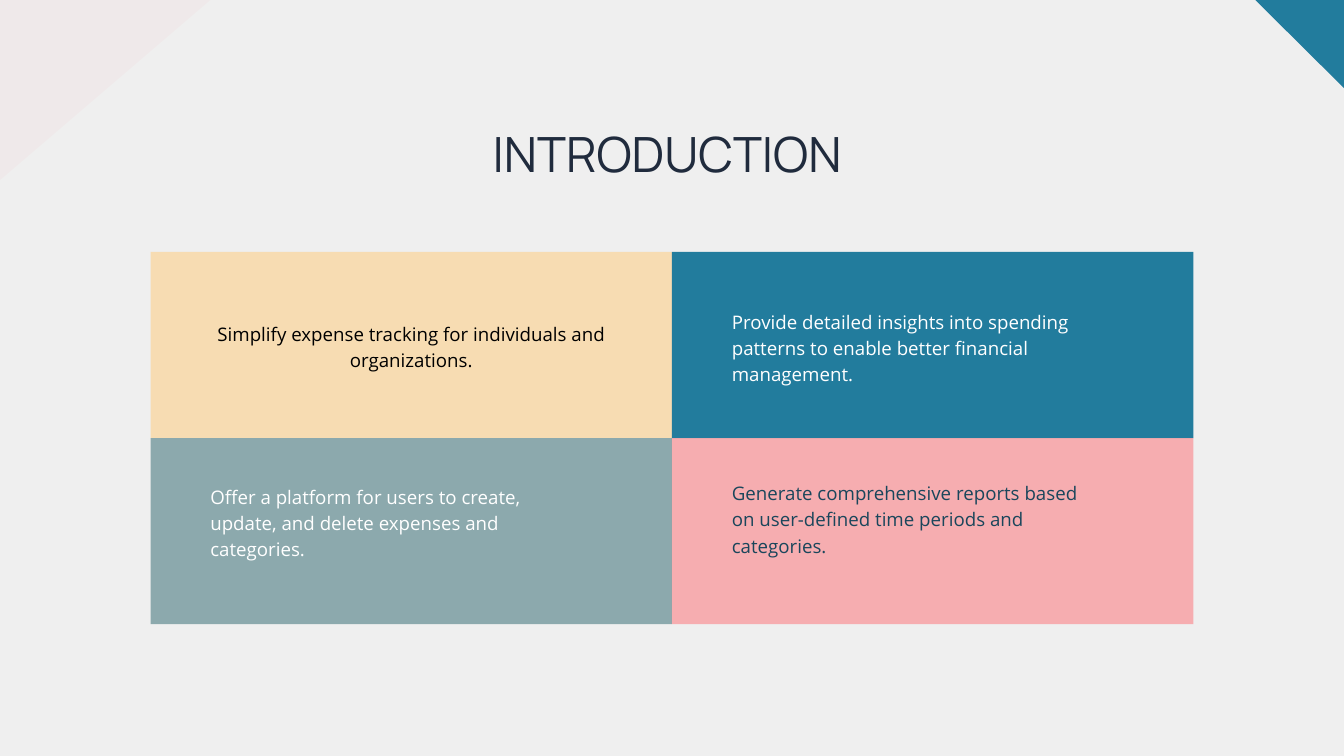
from lxml import etree
from pptx import Presentation
from pptx import util as u
from pptx.dml.color import RGBColor
from pptx.enum import shapes, text
from pptx.oxml.ns import qn

COLORS = {
    "background": "EFEFEF", "yellow": "FFCB77", "blue": "227C9D",
    "coral": "FE6D73", "sage": "8CA9AD", "navy": "202B3D",
    "teal": "1A465B", "white": "FFFFFF", "black": "000000",
}


class SlideBuilder:
    body_font, title_font = "Open Sans", "Manrope"
    line_ratio = 1.4

    def __init__(self, slide):
        self.slide = slide
        self.slide.background.fill.solid()
        self.slide.background.fill.fore_color.rgb = self.color("background")

    def color(self, name):
        return RGBColor.from_string(COLORS[name])

    def paint(self, shape, color, opacity):
        shape.shadow.inherit = False
        shape.fill.solid()
        shape.fill.fore_color.rgb = self.color(color)
        shape.line.fill.background()
        if opacity < 100:
            solid = shape.fill._xPr.find(qn("a:solidFill"))
            etree.SubElement(solid[0], qn("a:alpha"), val=str(opacity * 1000))

    def triangle(self, points, color, opacity=100):
        corners = [(u.Inches(x), u.Inches(y)) for x, y in points]
        builder = self.slide.shapes.build_freeform(*corners[0])
        builder.add_line_segments(corners[1:], close=True)
        self.paint(builder.convert_to_shape(), color, opacity)

    def panel(self, left, top, width, height, color, opacity=100):
        shape = self.slide.shapes.add_shape(
            shapes.MSO_SHAPE.RECTANGLE, u.Inches(left), u.Inches(top),
            u.Inches(width), u.Inches(height))
        self.paint(shape, color, opacity)

    def label(self, words, left, top, width, height, color, size=20,
              font=body_font, centered=False):
        box = self.slide.shapes.add_textbox(
            u.Inches(left), u.Inches(top), u.Inches(width), u.Inches(height))
        frame = box.text_frame
        frame.margin_left = frame.margin_right = 0
        frame.margin_top = frame.margin_bottom = 0
        frame.word_wrap = True
        frame.auto_size = text.MSO_AUTO_SIZE.SHAPE_TO_FIT_TEXT
        paragraph = frame.paragraphs[0]
        paragraph.text = words
        paragraph.alignment = text.PP_ALIGN.CENTER if centered else text.PP_ALIGN.LEFT
        paragraph.line_spacing = u.Pt(size * self.line_ratio)
        paragraph.font.size = u.Pt(size)
        paragraph.font.name = font
        paragraph.font.color.rgb = self.color(color)


def main():
    presentation = Presentation()
    presentation.slide_width = u.Inches(20)
    presentation.slide_height = u.Inches(11.25)
    builder = SlideBuilder(presentation.slides.add_slide(presentation.slide_layouts[6]))

    # Corner triangles
    builder.triangle([(0, 0), (3.13, 0), (0, 2.68)], "coral", 4)
    builder.triangle([(18.68, 0), (20.01, 0), (20.01, 1.32)], "blue")

    # Two-by-two grid of panels
    left, top, width, height = 2.24, 3.75, 7.76, 2.77
    panels = [("yellow", 50), ("blue", 100), ("sage", 100), ("coral", 50)]
    for index, (color, opacity) in enumerate(panels):
        row, column = divmod(index, 2)
        builder.panel(left + column * width, top + row * height,
                      width, height, color, opacity)

    # Title
    builder.label("INTRODUCTION ", 5.13, 1.7, 9.74, 0.94, "navy", size=52,
                  font=builder.title_font, centered=True)

    # Panel texts
    builder.label("Simplify expense tracking for individuals and organizations.",
                  3.13, 4.75, 5.98, 0.76, "black", centered=True)
    goals = [
        ("Provide detailed insights into spending patterns to enable better "
         "financial management.", 10.89, 4.57, "white"),
        ("Offer a platform for users to create, update, and delete expenses "
         "and categories.", 3.13, 7.17, "white"),
        ("Generate comprehensive reports based on user-defined time periods "
         "and categories.", 10.89, 7.12, "teal"),
    ]
    for words, text_left, text_top, color in goals:
        builder.label(words, text_left, text_top, 5.29, 1.53, color)

    presentation.save("out.pptx")


if __name__ == "__main__":
    main()
